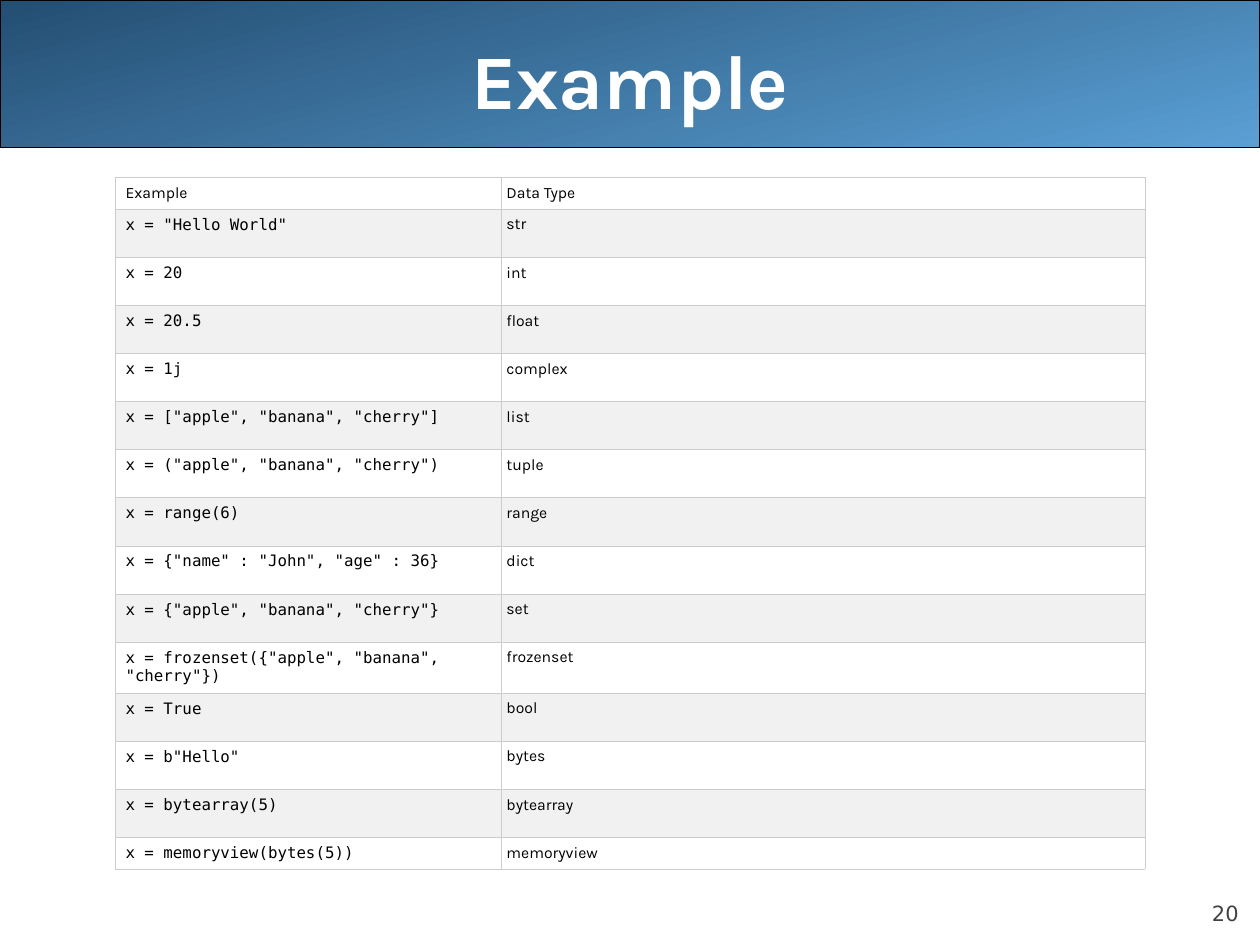
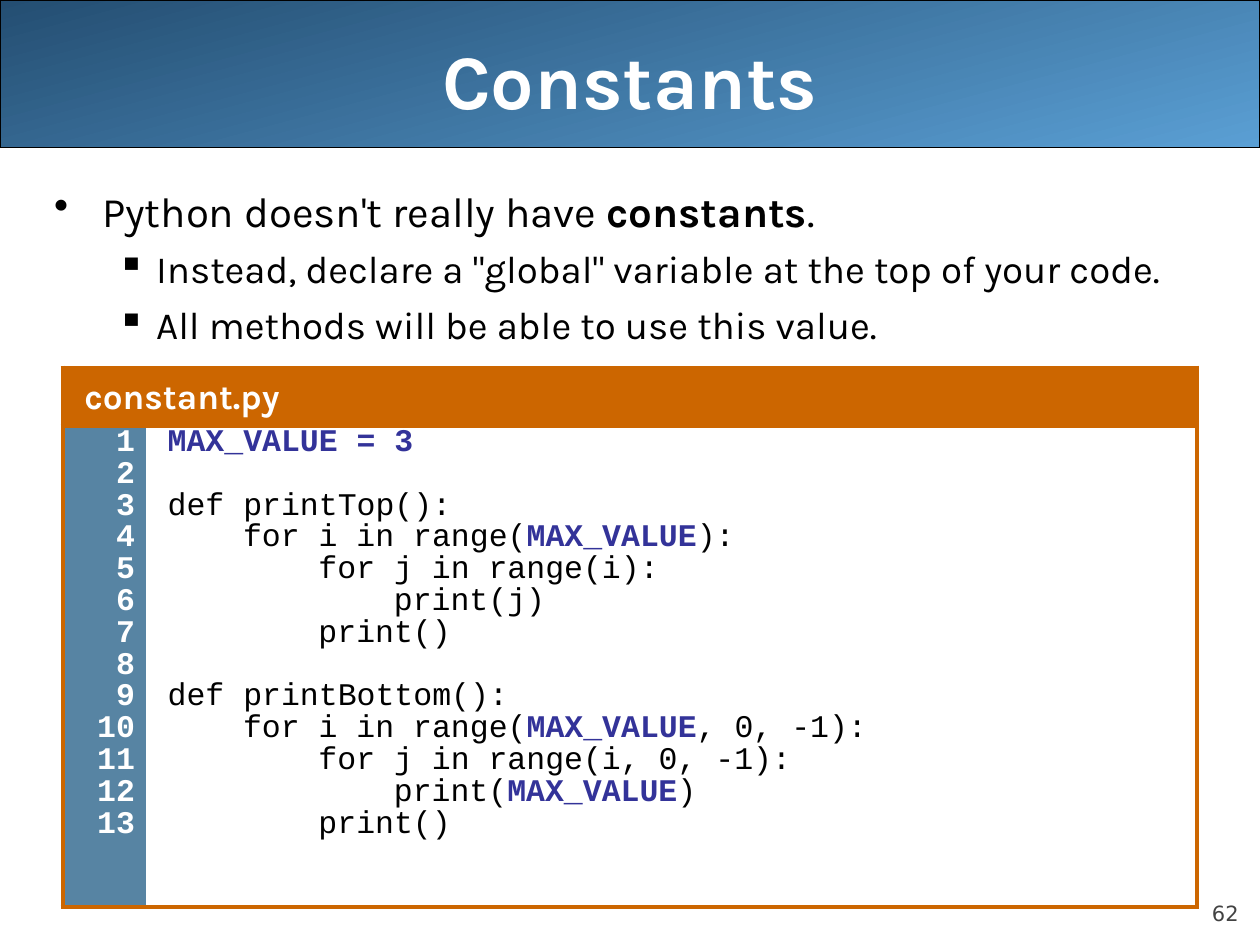
from lxml.etree import SubElement
from pptx import Presentation
from pptx.dml.color import RGBColor as RGB
from pptx.enum.shapes import MSO_SHAPE as Shape
from pptx.enum.text import MSO_ANCHOR as Anchor, PP_ALIGN as Align
from pptx.oxml.ns import qn
from pptx.util import Cm, Pt

COLORS = {
    "band_dark": "244E72", "band_light": "5A9FD4", "black": "000000",
    "white": "FFFFFF", "number": "424242", "grid": "CCCCCC",
    "stripe": "F1F1F1", "orange": "CC6600", "gutter": "5784A3",
    "constant": "333399",
}
FONTS = {
    "title": {"name": "Karla", "size": Pt(44), "bold": True},
    "number": {"name": "DejaVu Sans", "size": Pt(12), "bold": False},
    "point": {"name": "Karla", "size": Pt(24), "bold": False},
    "subpoint": {"name": "Karla", "size": Pt(22), "bold": False},
    "type": {"name": "Karla", "size": Pt(9), "bold": False},
    "sample": {"name": "DejaVu Sans Mono", "size": Pt(9), "bold": False},
    "file": {"name": "Karla", "size": Pt(20), "bold": True},
    "line_no": {"name": "Courier New", "size": Pt(18), "bold": True},
    "code": {"name": "Courier New", "size": Pt(18), "bold": False},
}


def color(name):
    return RGB.from_string(COLORS[name])


def assign(target, values):
    for name, value in values.items():
        setattr(target, name, value)


class Deck:
    def __init__(self):
        self.show = Presentation()
        assign(self.show, {"slide_width": Cm(25.4), "slide_height": Cm(19.05)})
        self.slide = None

    def new_slide(self, title, number):
        """Start a slide with its band, page number and title."""
        self.slide = self.show.slides.add_slide(self.show.slide_layouts[6])
        self.band()
        corner = self.box(22.86, 17.65, 2.11, 1.02, Anchor.BOTTOM)
        assign(corner, {"margin_left": 0, "margin_right": 0,
                        "margin_top": 0, "margin_bottom": 0})
        self.put_text(corner.paragraphs[0], number, "number", "number",
                      alignment=Align.RIGHT, space_before=Pt(5))
        heading = self.box(1.27, 0, 22.86, 3.18, Anchor.MIDDLE)
        self.put_text(heading.paragraphs[0], title, "title", "white",
                      alignment=Align.CENTER)

    def band(self):
        band = self.slide.shapes.add_shape(
            Shape.ROUNDED_RECTANGLE, 0, 0, self.show.slide_width, Cm(2.97))
        band.adjustments[0] = 0
        band.shadow.inherit = False
        band.fill.gradient()
        band.fill.gradient_angle = 285
        for stop, name in zip(band.fill.gradient_stops, ("band_dark", "band_light")):
            stop.color.rgb = color(name)
        band.line.color.rgb = color("black")
        band.line.width = Pt(0.75)

    def box(self, left, top, width, height, anchor):
        frame = self.slide.shapes.add_textbox(
            Cm(left), Cm(top), Cm(width), Cm(height)).text_frame
        assign(frame, {"word_wrap": True, "vertical_anchor": anchor})
        return frame

    def put_text(self, paragraph, text, font, ink, accent=None, **layout):
        """Fill a paragraph; parts between bars are bold, in the accent colour."""
        assign(paragraph, layout)
        for i, part in enumerate(text.split("|")):
            if not part:
                continue
            run = paragraph.add_run()
            run.text = part
            assign(run.font, FONTS[font])
            run.font.color.rgb = color(ink)
            if i % 2:
                run.font.bold = True
                run.font.color.rgb = color(accent or ink)

    def indent(self, paragraph, left, hang=0, bullet=None):
        props = paragraph._p.get_or_add_pPr()
        props.set("marL", str(Cm(left)))
        props.set("indent", str(-Cm(hang)))
        if bullet:
            SubElement(props, qn("a:buChar")).set("char", bullet)

    def bullets(self, frame, points):
        looks = (("point", 6, 0.97, 0.97, "•"), ("subpoint", 5.5, 2.06, 0.79, "▪"))
        for i, (level, text) in enumerate(points):
            paragraph = frame.add_paragraph() if i else frame.paragraphs[0]
            font, before, left, hang, bullet = looks[level]
            self.put_text(paragraph, text, font, "black",
                          level=level, space_before=Pt(before))
            self.indent(paragraph, left, hang, bullet)

    def table(self, left, top, widths, heights):
        grid = self.slide.shapes.add_table(
            len(heights), len(widths), Cm(left), Cm(top),
            Cm(sum(widths)), Cm(sum(heights))).table
        assign(grid, {"first_row": False, "horz_banding": False})
        for column, width in zip(grid.columns, widths):
            column.width = Cm(width)
        for row, height in zip(grid.rows, heights):
            row.height = Cm(height)
        return grid

    def cell(self, cell, fill, edge, weight, left, right, sides="LRTB"):
        assign(cell, {"margin_left": Cm(left), "margin_right": Cm(right),
                      "margin_top": Cm(0.13), "margin_bottom": Cm(0.13)})
        props = cell._tc.get_or_add_tcPr()
        for side in "LRTB":
            border = SubElement(props, qn("a:ln" + side))
            if side in sides:
                border.set("w", str(Pt(weight)))
                paint = SubElement(border, qn("a:solidFill"))
                SubElement(paint, qn("a:srgbClr")).set("val", COLORS[edge])
            else:
                border.set("w", "0")
                SubElement(border, qn("a:noFill"))
        cell.fill.solid()
        cell.fill.fore_color.rgb = color(fill)

    def code_lines(self, cell, lines, font, ink, **layout):
        """Set (depth, text) lines; None leaves the height of one line free."""
        frame, skipped, first = cell.text_frame, 0, True
        for line in lines:
            if line is None:
                skipped += 1
                continue
            depth, text = line
            paragraph = frame.paragraphs[0] if first else frame.add_paragraph()
            self.put_text(paragraph, text, font, ink, "constant", line_spacing=0.67,
                          space_before=Pt(4.5 + 18.15 * skipped), **layout)
            self.indent(paragraph, 0.3 + 1.52 * depth)
            skipped, first = 0, False


TYPES = [
    ("Example", "Data Type"),
    ('x = "Hello World"', "str"),
    ("x = 20", "int"),
    ("x = 20.5", "float"),
    ("x = 1j", "complex"),
    ('x = ["apple", "banana", "cherry"]', "list"),
    ('x = ("apple", "banana", "cherry")', "tuple"),
    ("x = range(6)", "range"),
    ('x = {"name" : "John", "age" : 36}', "dict"),
    ('x = {"apple", "banana", "cherry"}', "set"),
    ('x = frozenset({"apple", "banana", "cherry"})', "frozenset"),
    ("x = True", "bool"),
    ('x = b"Hello"', "bytes"),
    ("x = bytearray(5)", "bytearray"),
    ("x = memoryview(bytes(5))", "memoryview"),
]
POINTS = [
    (0, "Python doesn't really have |constants|."),
    (1, 'Instead, declare a "global" variable at the top of your code.'),
    (1, "All methods will be able to use this value."),
]
CODE = [
    (0, "|MAX_VALUE = 3"),
    None,
    (0, "def printTop():"),
    (1, "for i in range(|MAX_VALUE|):"),
    (2, "for j in range(i):"),
    (3, "print(j)"),
    (2, "print()"),
    None,
    (0, "def printBottom():"),
    (1, "for i in range(|MAX_VALUE|, 0, -1):"),
    (2, "for j in range(i, 0, -1):"),
    (3, "print(|MAX_VALUE|)"),
    (2, "print()"),
]


def data_types(deck):
    deck.new_slide("Example", "20")
    heights = [0.58] + [0.97] * (len(TYPES) - 2) + [0.58]
    grid = deck.table(2.33, 3.57, (7.78, 12.97), heights)
    for r, row in enumerate(TYPES):
        for c, text in enumerate(row):
            cell = grid.cell(r, c)
            deck.cell(cell, "stripe" if r % 2 else "white", "grid", 0.34,
                      0.1 if c else 0.2, 0.1)
            font = "sample" if r and not c else "type"
            deck.put_text(cell.text_frame.paragraphs[0], text, font, "black")


def constants(deck):
    deck.new_slide("Constants", "62")
    deck.bullets(deck.box(0.84, 3.61, 24.13, 13.77, Anchor.TOP), POINTS)

    # Listing: file name above, line numbers and code below
    listing = deck.table(1.27, 7.42, (1.68, 21.18), (1.14, 9.7))
    file_name, gutter, code = (listing.cell(*at) for at in ((0, 0), (1, 0), (1, 1)))
    file_name.merge(listing.cell(0, 1))
    for cell in (file_name, listing.cell(0, 1)):
        deck.cell(cell, "orange", "orange", 3, 0.13, 0.13)
    deck.cell(gutter, "gutter", "orange", 3, 0.13, 0.23, "LTB")
    deck.cell(code, "white", "orange", 3, 0.13, 0.46, "RTB")

    name_line = file_name.text_frame.paragraphs[0]
    deck.put_text(name_line, "constant.py", "file", "white",
                  line_spacing=1.07, space_before=Pt(5))
    deck.indent(name_line, 0.3)
    numbers = [(0, str(n + 1)) for n in range(len(CODE))]
    deck.code_lines(gutter, numbers, "line_no", "white", alignment=Align.RIGHT)
    deck.code_lines(code, CODE, "code", "black")


def main():
    deck = Deck()
    data_types(deck)
    constants(deck)
    deck.show.save("out.pptx")


if __name__ == "__main__":
    main()
